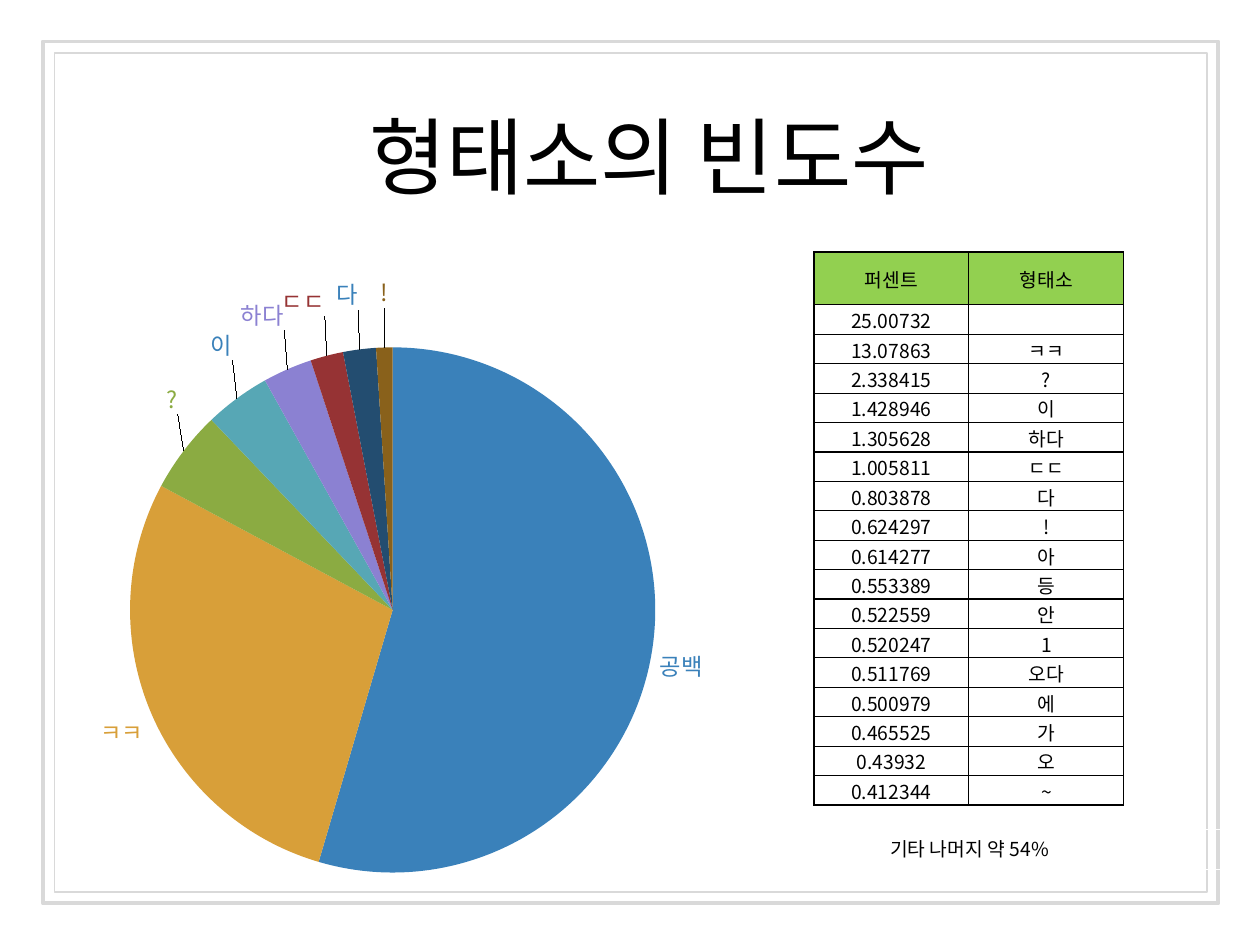
from dataclasses import dataclass

from lxml.etree import SubElement
from pptx import Presentation
from pptx.chart.data import CategoryChartData as Data
from pptx.dml.color import RGBColor as RGB
from pptx.enum.chart import XL_CHART_TYPE as Kind, XL_LABEL_POSITION as Spot
from pptx.enum.shapes import MSO_SHAPE as Form
from pptx.enum.text import MSO_ANCHOR as Anchor, PP_ALIGN as Align
from pptx.oxml import parse_xml
from pptx.oxml.ns import nsdecls, qn
from pptx.util import Inches, Pt


@dataclass(frozen=True)
class Theme:
    ink: str = "000000"
    white: str = "FFFFFF"
    frame: str = "D9D9D9"
    head: str = "92D050"
    font: str = "Noto Sans CJK KR"
    serif: str = "Cambria"
    base: str = "Arial"
    title: float = 48
    body: float = 11
    label: float = 13.3
    small: float = 10


SLICES = [  # name, value, slice colour, label colour, label lift
    ("공백", 54, "3A81BA", "3A81BA", 0),
    ("ㅋㅋ", 28, "D89F39", "D89F39", 0),
    ("?", 5, "8BAB42", "8BAB42", -0.05),
    ("이", 4, "57A7B5", "3A81BA", -0.05),
    ("하다", 3, "8B81D2", "8B81D2", -0.05),
    ("ㄷㄷ", 2, "963334", "963334", -0.05),
    ("다", 2, "234D70", "3A81BA", -0.05),
    ("!", 1, "89611B", "89611B", -0.05),
]

ROWS = [
    ("퍼센트", "형태소"), ("25.00732", ""), ("13.07863", "ㅋㅋ"),
    ("2.338415", "?"), ("1.428946", "이"), ("1.305628", "하다"),
    ("1.005811", "ㄷㄷ"), ("0.803878", "다"), ("0.624297", "!"),
    ("0.614277", "아"), ("0.553389", "등"), ("0.522559", "안"),
    ("0.520247", "1"), ("0.511769", "오다"), ("0.500979", "에"),
    ("0.465525", "가"), ("0.43932", "오"), ("0.412344", "~"),
]


def layout(inner="", **spots):
    """Manual chart layout; x, y, w and h are shares of the chart."""
    modes = "".join(f'<c:{k}Mode val="edge"/>' for k in "xy") if inner else ""
    vals = "".join(f'<c:{k} val="{v}"/>' for k, v in spots.items())
    return parse_xml(f'<c:layout {nsdecls("c")}><c:manualLayout>'
                     f'{inner}{modes}{vals}</c:manualLayout></c:layout>')


class Deck:
    def __init__(self, theme):
        self.theme = theme
        self.prs = Presentation()
        self.prs.slide_width, self.prs.slide_height = Inches(10), Inches(7.5)
        self.slide = self.prs.slides.add_slide(self.prs.slide_layouts[6])

    def run(self, para, text, size, color, font):
        run = para.add_run()
        run.text = text
        run.font.size, run.font.name = Pt(size), font
        run.font.bold = False
        run.font.color.rgb = RGB.from_string(color)
        # East Asian face for the Korean letters
        SubElement(run.font._element, qn("a:ea"), typeface=self.theme.font)

    def box(self, area, line, width):
        shape = self.slide.shapes.add_shape(Form.RECTANGLE, *map(Inches, area))
        shape.shadow.inherit = False
        shape.fill.background()
        shape.line.color.rgb = RGB.from_string(line)
        shape.line.width = Pt(width)
        return shape

    def text(self, area, words, size, font):
        frame = self.box(area, self.theme.white, 0.25).text_frame
        frame.word_wrap = True
        frame.vertical_anchor = Anchor.MIDDLE
        frame.margin_left = frame.margin_right = Inches(0.1)
        frame.margin_top = frame.margin_bottom = Inches(0.1)
        para = frame.paragraphs[0]
        para.alignment = Align.CENTER
        self.run(para, words, size, self.theme.ink, font)

    def pie(self, area, slices, plot):
        look = self.theme
        data = Data()
        data.categories = [part[0] for part in slices]
        data.add_series("Series 1", [part[1] for part in slices])
        chart = self.slide.shapes.add_chart(
            Kind.PIE, *map(Inches, area), data).chart
        chart.has_legend = chart.has_title = False
        chart.font.name, chart.font.size = look.base, Pt(look.small)
        chart.font.color.rgb = RGB.from_string(look.ink)
        pie = chart.plots[0]
        pie.vary_by_categories = True

        # Place the circle inside the chart
        body = chart._chartSpace.chart.plotArea
        for old in body.findall(qn("c:layout")):
            body.remove(old)
        body.insert(0, layout('<c:layoutTarget val="inner"/>', **plot))

        # Shared label style
        labels = pie.series[0].data_labels
        labels.show_category_name = labels.show_percentage = True
        labels.show_value = False
        labels.position = Spot.OUTSIDE_END
        labels.font.size, labels.font.name = Pt(look.label), look.font

        # Slice colours and labels
        for i, (name, _, fill, ink, lift) in enumerate(slices):
            point = pie.series[0].points[i]
            point.format.fill.solid()
            point.format.fill.fore_color.rgb = RGB.from_string(fill)
            label = point.data_label
            para = label.text_frame.paragraphs[0]
            self.run(para, name, look.label, ink, look.font)
            label.position = Spot.OUTSIDE_END
            if lift:
                node = label._dLbl
                for old in node.findall(qn("c:layout")):
                    node.remove(old)
                node.insert(1, layout(x=0, y=lift))

    def cell(self, cell, words, fill):
        look = self.theme
        cell.vertical_anchor = Anchor.MIDDLE
        cell.margin_left = cell.margin_right = Inches(0.01)
        cell.margin_top, cell.margin_bottom = Inches(0.01), 0
        para = cell.text_frame.paragraphs[0]
        para.alignment = Align.CENTER
        if words:
            self.run(para, words, look.body, look.ink, look.font)
        else:
            SubElement(para._p, qn("a:endParaRPr"), sz=str(look.body * 100))
        for side in "LRTB":
            cell._tc.get_or_add_tcPr().append(parse_xml(
                f'<a:ln{side} {nsdecls("a")} w="{Pt(0.75)}"><a:solidFill>'
                f'<a:srgbClr val="{look.ink}"/></a:solidFill></a:ln{side}>'))
        if fill:
            cell.fill.solid()
            cell.fill.fore_color.rgb = RGB.from_string(fill)
        else:
            cell.fill.background()

    def table(self, area, rows, top):
        grid = self.slide.shapes.add_table(
            len(rows), len(rows[0]), *map(Inches, area)).table
        grid.first_row = grid.horz_banding = False
        step = (area[3] - top) / (len(rows) - 1)
        for i, row in enumerate(rows):
            grid.rows[i].height = Inches(step if i else top)
            for j, words in enumerate(row):
                self.cell(grid.cell(i, j), words, None if i else self.theme.head)


def main():
    look = Theme()
    deck = Deck(look)

    # Double frame
    deck.box((0.43, 0.42, 9.15, 6.66), look.frame, 0.75)
    deck.box((0.34, 0.33, 9.33, 6.84), look.frame, 2.25)

    # Frequency pie
    deck.pie((0.28, 2, 5.79, 5.03), SLICES,
             {"x": 0.13, "y": 0.15, "w": 0.72, "h": 0.83})

    # Note and frequency table
    deck.text((5.15, 6.58, 5.09, 0.32), "기타 나머지 약 54%",
              look.body, look.font)
    deck.table((6.46, 2, 2.46, 4.39), ROWS, 0.42)

    # Title
    deck.text((1.69, 0.76, 6.92, 0.94), "형태소의 빈도수",
              look.title, look.serif)

    deck.prs.save("out.pptx")


if __name__ == "__main__":
    main()
